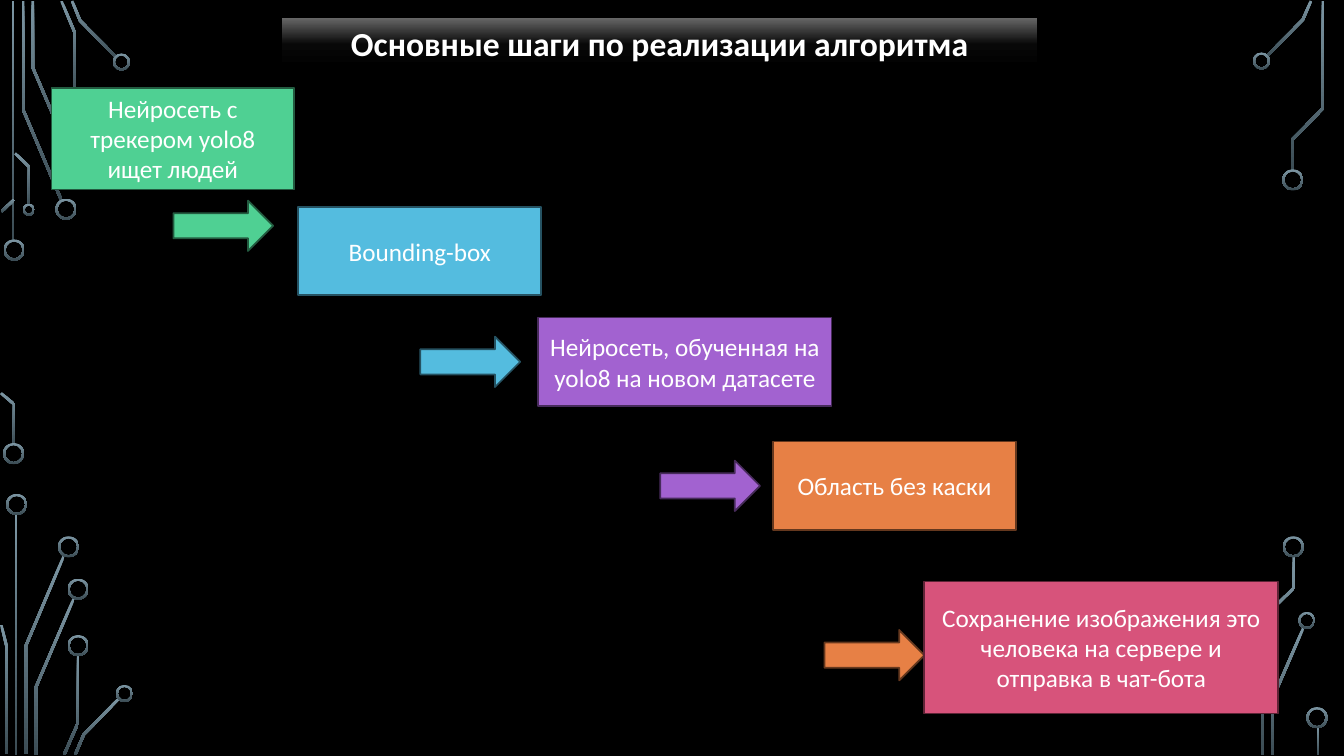
from math import hypot

from lxml.etree import SubElement
from pptx import Presentation
from pptx.dml.color import RGBColor
from pptx.enum.shapes import MSO_SHAPE
from pptx.enum.text import MSO_ANCHOR, MSO_AUTO_SIZE, PP_ALIGN
from pptx.oxml.ns import qn
from pptx.util import Inches, Pt

# The grid has ten columns and ten rows to the inch
GRID = Inches(0.1)
COLUMNS, ROWS = 133.33, 75
FONT = "Calibri"
WIRE_HALF_WIDTH = 0.13
RING_BAND = 0.2
CIRCUIT_STOPS = [(0, "7C96A3"), (100, "3B4C54")]
TITLE_STOPS = [(0, "000000"), (48, "080808"), (100, "666666")]

# Centre lines of the circuit wires: (column, row) points
WIRES = [
    # top left
    [(1.3, 0.1), (1.3, 24)],
    [(2.3, 0.1), (2.3, 10.9), (6.1, 19.9)],
    [(3.25, 0.1), (3.25, 6.7), (7.1, 15.7)],
    [(6.1, 0.1), (7.45, 3.3), (7.45, 10)],
    [(7.15, 0.1), (7.95, 2.05), (11.55, 5.7)],
    [(0.15, 21), (1.4, 19.8)],
    [(1.5, 15.2), (2.9, 16.55), (2.9, 20.3)],
    # bottom left
    [(0.1, 39), (1.4, 40.1), (1.4, 44.1)],
    [(1.6, 51), (1.6, 74.9)],
    [(6.35, 55.1), (2.55, 64.1), (2.55, 74.8)],
    [(0.13, 62), (0.65, 64.1), (0.65, 74.8)],
    [(7.35, 59.3), (3.55, 68.2), (3.55, 74.9)],
    [(7.75, 65), (7.75, 71.7), (6.35, 74.9)],
    [(11.8, 69.3), (8.3, 72.9), (7.45, 74.9)],
    # top right
    [(130.05, 0.1), (129.25, 1.95), (125.7, 5.55)],
    [(131.25, 0.1), (131.25, 10.75), (128.2, 13.85), (128.2, 16.9)],
    # bottom right
    [(129.3, 62.3), (126.25, 69.35), (126.25, 74.9)],
    [(128.35, 55.2), (128.35, 58.35), (125.25, 61.35), (125.25, 74.9)],
    [(130.75, 72.1), (130.75, 74.9)],
]

# Circuit contacts by diameter: (column, row) centres
RINGS = {
    2.1: [(1.4, 24.8), (1.35, 45), (6.55, 20.75), (1.65, 50.05),
          (6.8, 54.25), (7.75, 58.45), (7.75, 64.05), (128.25, 17.85),
          (128.3, 54.25), (130.65, 71.2)],
    1.7: [(12.05, 6.15), (12.35, 68.8), (125.15, 6.05), (129.65, 61.55)],
    1.2: [(2.85, 20.8)],
}

# Text, fill, outline, box (left, top, width, height), next arrow (left, top)
STEPS = [
    ("Нейросеть с трекером yolo8 ищет людей", "4FD093", "235B40",
     (5.1, 8.7, 24.1, 10.1), (17.2, 19.9)),
    ("Bounding-box", "54BCDF", "255262",
     (29.6, 20.5, 24.1, 8.8), (41.7, 33.4)),
    ("Нейросеть, обученная на yolo8 на новом датасете", "A262D0", "472B5B",
     (53.4, 31.5, 29.1, 8.8), (65.5, 45.7)),
    ("Область без каски", "E78045", "65381E",
     (76.7, 43.8, 24.1, 8.8), (81.8, 62.5)),
    ("Сохранение изображения это человека на сервере и отправка в чат-бота",
     "D7537B", "5E2436", (91.7, 57.7, 35.1, 13.1), None),
]
ARROW_SIZE = (9.9, 5)


def cells(*counts):
    return [round(count * GRID) for count in counts]


def paint(color_format, hex_color):
    color_format.rgb = RGBColor.from_string(hex_color)


def fill_solid(fill, hex_color):
    fill.solid()
    paint(fill.fore_color, hex_color)


def fill_gradient(shape, stops, angle):
    shape.fill.gradient()
    shape.fill.gradient_angle = angle
    stop_list = shape._element.spPr.find(".//" + qn("a:gsLst"))
    stop_list.clear()
    for percent, hex_color in stops:
        stop = SubElement(stop_list, qn("a:gs"), pos=str(percent * 1000))
        SubElement(stop, qn("a:srgbClr"), val=hex_color)


def write(shape, text, size, bold=False):
    shape.text_frame.text = text
    shape.text_frame.word_wrap = True
    paragraph = shape.text_frame.paragraphs[0]
    paragraph.alignment = PP_ALIGN.CENTER
    for run in paragraph.runs:
        run.font.name = FONT
        run.font.size = Pt(size)
        run.font.bold = bold
        paint(run.font.color, "FFFFFF")


def finish_circuit_part(shape):
    shape.shadow.inherit = False
    shape.line.fill.background()
    fill_gradient(shape, CIRCUIT_STOPS, 270)


def wire_edge(points, distance):
    """Shift a wire's centre line sideways, with mitred corners."""
    normals = []
    for (x1, y1), (x2, y2) in zip(points, points[1:]):
        length = hypot(x2 - x1, y2 - y1)
        normals.append(((y1 - y2) / length, (x2 - x1) / length))
    edge = []
    for (x, y), (ax, ay), (bx, by) in zip(
            points, normals[:1] + normals, normals + normals[-1:]):
        share = distance / (1 + ax * bx + ay * by)
        edge.append((x + (ax + bx) * share, y + (ay + by) * share))
    return edge


def add_wire(slide, points):
    outline = (wire_edge(points, WIRE_HALF_WIDTH)
               + wire_edge(points, -WIRE_HALF_WIDTH)[::-1])
    corners = [cells(*corner) for corner in outline]
    builder = slide.shapes.build_freeform(*corners[0])
    builder.add_line_segments(corners[1:], close=True)
    finish_circuit_part(builder.convert_to_shape())


def add_ring(slide, center, diameter):
    left, top = (middle - diameter / 2 for middle in center)
    ring = slide.shapes.add_shape(
        MSO_SHAPE.DONUT, *cells(left, top, diameter, diameter))
    ring.adjustments[0] = RING_BAND / diameter
    finish_circuit_part(ring)


def add_title(slide, text):
    title = slide.shapes.title
    title.left, title.top, title.width, title.height = cells(28, 1.8, 74.9, 5)
    fill_gradient(title, TITLE_STOPS, 90)
    write(title, text, 24, bold=True)
    title.text_frame.vertical_anchor = MSO_ANCHOR.TOP
    title.text_frame.auto_size = MSO_AUTO_SIZE.NONE


def add_block(slide, preset, place, fill_color, line_color):
    block = slide.shapes.add_shape(preset, *cells(*place))
    block.shadow.inherit = False
    fill_solid(block.fill, fill_color)
    paint(block.line.color, line_color)
    block.line.width = Pt(1.25)
    return block


def main():
    prs = Presentation()
    prs.slide_width, prs.slide_height = cells(COLUMNS, ROWS)
    slide = prs.slides.add_slide(prs.slide_layouts[5])
    fill_solid(slide.background.fill, "000000")

    # Circuit decoration
    for points in WIRES:
        add_wire(slide, points)
    for diameter, centers in RINGS.items():
        for center in centers:
            add_ring(slide, center, diameter)

    # Title and the staircase of steps
    add_title(slide, "Основные шаги по реализации алгоритма")
    for text, fill_color, line_color, box, arrow in STEPS:
        step = add_block(slide, MSO_SHAPE.RECTANGLE, box, fill_color, line_color)
        write(step, text, 18)
        step.text_frame.vertical_anchor = MSO_ANCHOR.MIDDLE
        if arrow:
            add_block(slide, MSO_SHAPE.RIGHT_ARROW, arrow + ARROW_SIZE,
                      fill_color, line_color)

    prs.save("out.pptx")


if __name__ == "__main__":
    main()
